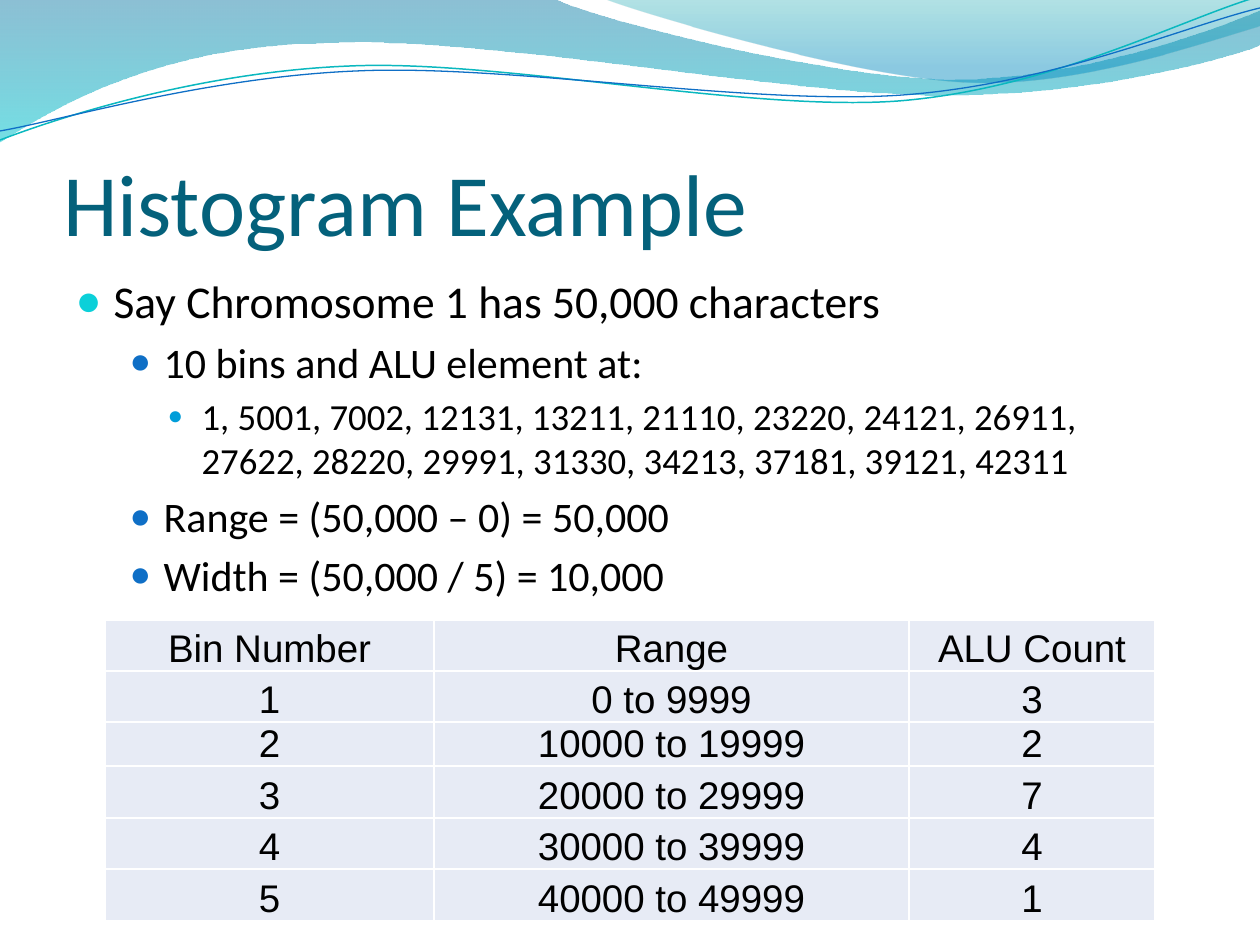
from lxml.etree import SubElement
from pptx import Presentation
from pptx.dml.color import RGBColor
from pptx.enum.text import MSO_ANCHOR, MSO_AUTO_SIZE, PP_ALIGN
from pptx.oxml.ns import qn
from pptx.util import Emu, Pt

SCALE = 914400 / 126

# A pair is a straight line; six numbers are two control points and an end.
WAVES = [
    ((0, 0),
     [(554, -1), (600, 21, 837, 79, 955, 79), (1075, 79, 1207, 33, 1260, 11),
      (1261, 45), (1239, 55, 1096, 96, 940, 95), (784, 95, 481, 35, 324, 43),
      (163, 45, 58, 105, -1, 142), (0, 0)],
     [(0, "0074A1", 45), (1, "00C6CF", 55)]),
    ((604, -1),
     [(641, 14, 859, 78, 969, 82), (1079, 87, 1211, 40, 1260, 26),
      (1260, 0), (604, -1)],
     [(0, "00A1A9", 30), (0.8, "008BBF", 45)]),
]
STRANDS = [
    ((0, 140),
     [(60, 117, 199, 72, 349, 66), (498, 59, 747, 112, 898, 101),
      (1050, 89, 1182, 19, 1257, -3)], "0AB8BF", 0.85),
    ((0, 131),
     [(59, 121, 207, 77, 357, 71), (508, 64, 752, 106, 903, 95),
      (1053, 84, 1185, 26, 1260, 8)], "0F6FC6", 0.75),
]

# Text size, left margin, hanging indent, bullet colour, bullet percent
LEVELS = [
    (26, 38, 38, "0BD0D9", 95),
    (24, 88, 34, "0F6FC6", 85),
    (21, 126, 34, "009DD9", 70),
]
POINTS = [
    (0, "Say Chromosome 1 has 50,000 characters"),
    (1, "10 bins and ALU element at:"),
    (2, "1, 5001, 7002, 12131, 13211, 21110, 23220, 24121, 26911, "
        "27622, 28220, 29991, 31330, 34213, 37181, 39121, 42311"),
    (1, "Range = (50,000 – 0) = 50,000"),
    (1, "Width = (50,000 / 5) = 10,000"),
]

BINS = [
    ("Bin Number", "Range", "ALU Count"),
    ("1", "0 to 9999", "3"),
    ("2", "10000 to 19999", "2"),
    ("3", "20000 to 29999", "7"),
    ("4", "30000 to 39999", "4"),
    ("5", "40000 to 49999", "1"),
]
COLS = [329, 475, 246]
ROWS = [51, 51, 44, 52, 51, 52]


def px(n):
    return Emu(round(n * SCALE))


def rgb(code):
    return RGBColor.from_string(code)


def style(font, name, size, color):
    font.name, font.size = name, Pt(size)
    font.color.rgb = rgb(color)


def place(shape, left, top, width, height):
    shape.left, shape.top = px(left), px(top)
    shape.width, shape.height = px(width), px(height)


def bend(shape, parts):
    """Turn the line of each six-number part into a Bézier curve."""
    lines = list(shape.element.iter(qn("a:lnTo")))
    for line, part in zip(lines, parts):
        if len(part) == 6:
            line.tag = qn("a:cubicBezTo")
            for old in list(line):
                line.remove(old)
            for x, y in zip(part[::2], part[1::2]):
                SubElement(line, qn("a:pt"), x=str(px(x) - shape.left),
                           y=str(px(y) - shape.top))


def add_path(slide, start, parts, close):
    pen = slide.shapes.build_freeform(px(start[0]), px(start[1]))
    ends = [(px(part[-2]), px(part[-1])) for part in parts]
    pen.add_line_segments(ends, close=close)
    shape = pen.convert_to_shape()
    bend(shape, parts)
    shape.shadow.inherit = False
    return shape


def add_wave(slide, start, parts, stops):
    shape = add_path(slide, start, parts, True)
    shape.line.fill.background()
    fill = shape.fill
    fill.gradient()
    fill.gradient_angle = 270
    for stop, (spot, color, alpha) in zip(fill.gradient_stops, stops):
        stop.position = spot
        stop.color.rgb = rgb(color)
    tints = shape.element.iter(qn("a:srgbClr"))
    for tint, (spot, color, alpha) in zip(tints, stops):
        SubElement(tint, qn("a:alpha"), val=str(alpha * 1000))


def add_strand(slide, start, parts, color, width):
    shape = add_path(slide, start, parts, False)
    shape.fill.background()
    shape.line.color.rgb = rgb(color)
    shape.line.width = Pt(width)


def set_title(shape):
    place(shape, 63, 97, 1134, 157)
    frame = shape.text_frame
    frame.text = "Histogram Example"
    frame.auto_size = MSO_AUTO_SIZE.NONE
    frame.vertical_anchor = MSO_ANCHOR.BOTTOM
    frame.margin_left = frame.margin_right = frame.margin_bottom = 0
    para = frame.paragraphs[0]
    para.alignment = PP_ALIGN.LEFT
    style(para.font, "Calibri", 50, "04617B")


def set_bullet(para, left, hang, color, percent):
    props = para._p.get_or_add_pPr()
    props.set("marL", str(px(left)))
    props.set("indent", str(px(-hang)))
    tint = SubElement(props, qn("a:buClr"))
    SubElement(tint, qn("a:srgbClr"), val=color)
    SubElement(props, qn("a:buSzPct"), val=str(percent * 1000))
    SubElement(props, qn("a:buFont"), typeface="Arial")
    SubElement(props, qn("a:buChar"), char="●")


def set_body(shape):
    place(shape, 63, 267, 1134, 605)
    frame = shape.text_frame
    frame.text = "\n".join(text for level, text in POINTS)
    frame.auto_size = MSO_AUTO_SIZE.NONE
    for para, (level, text) in zip(frame.paragraphs, POINTS):
        size, *bullet = LEVELS[level]
        para.level = level
        set_bullet(para, *bullet)
        style(para.font, "Calibri", size, "000000")


def set_cell(cell, text):
    cell.text = text
    cell.vertical_anchor = MSO_ANCHOR.BOTTOM
    cell.margin_left = cell.margin_right = cell.margin_top = px(1)
    cell.margin_bottom = 0
    props = cell._tc.get_or_add_tcPr()
    for side in ("lnL", "lnR", "lnT", "lnB"):
        line = SubElement(props, qn("a:" + side), w=str(Pt(1)))
        fill = SubElement(line, qn("a:solidFill"))
        SubElement(fill, qn("a:srgbClr"), val="FFFFFF")
    cell.fill.solid()
    cell.fill.fore_color.rgb = rgb("E7EBF5")
    para = cell.text_frame.paragraphs[0]
    para.alignment = PP_ALIGN.CENTER
    style(para.font, "Arial", 22, "000000")


def add_bins(slide):
    table = slide.shapes.add_table(len(ROWS), len(COLS), px(105), px(620),
                                   px(sum(COLS)), px(sum(ROWS))).table
    table.first_row = table.horz_banding = False
    for col, width in zip(table.columns, COLS):
        col.width = px(width)
    for row, height, texts in zip(table.rows, ROWS, BINS):
        row.height = px(height)
        for cell, text in zip(row.cells, texts):
            set_cell(cell, text)


def main():
    deck = Presentation()
    deck.slide_width, deck.slide_height = px(1260), px(945)
    slide = deck.slides.add_slide(deck.slide_layouts[1])
    for wave in WAVES:
        add_wave(slide, *wave)
    for strand in STRANDS:
        add_strand(slide, *strand)
    title, body = slide.placeholders
    set_title(title)
    set_body(body)
    for shape in (title, body):
        slide.shapes.element.append(shape.element)  # bring to front
    add_bins(slide)
    deck.save("out.pptx")


if __name__ == "__main__":
    main()
